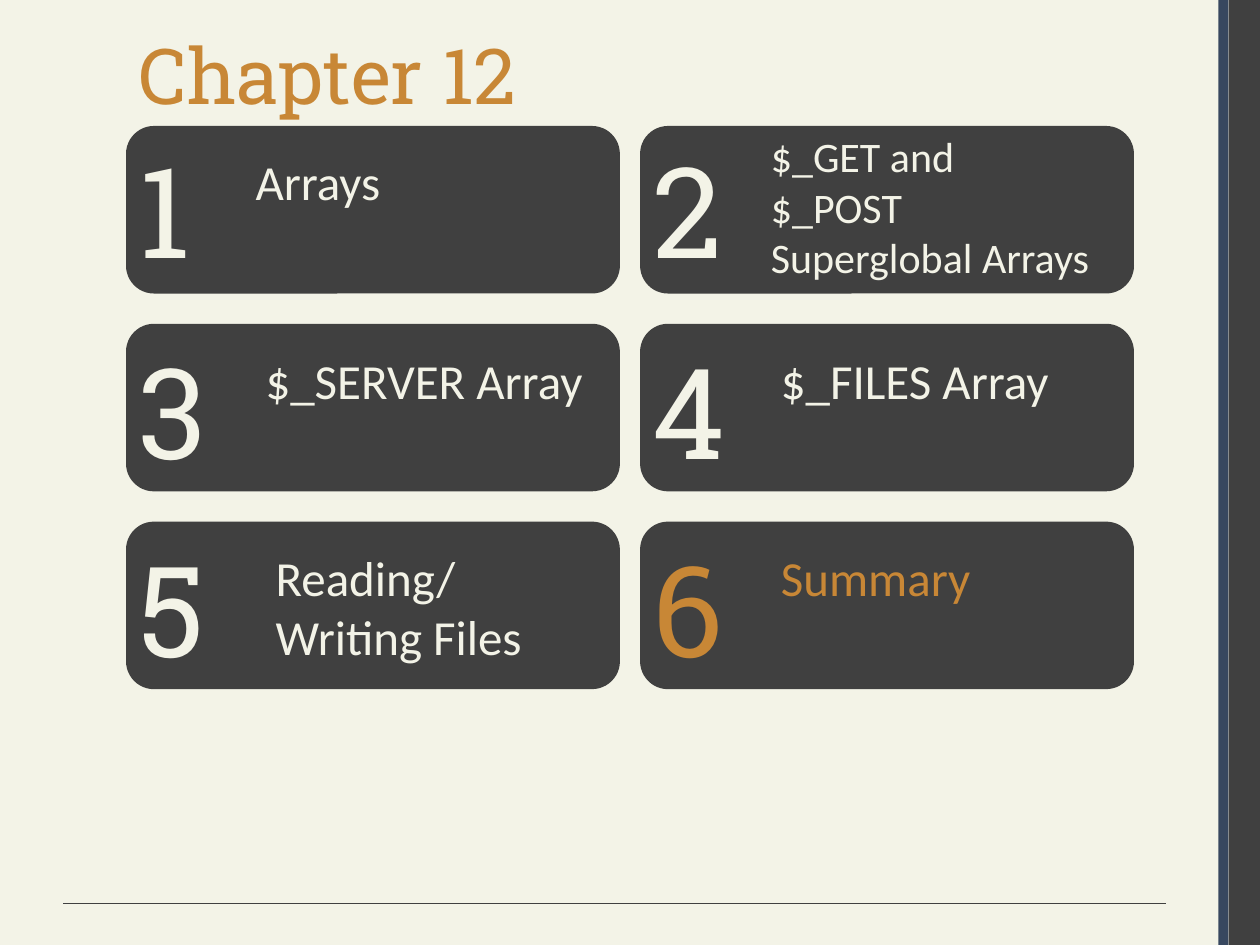
from pptx import Presentation
from pptx.dml.color import RGBColor
from pptx.enum.shapes import MSO_CONNECTOR, MSO_SHAPE
from pptx.enum.text import MSO_ANCHOR, PP_ALIGN
from pptx.oxml.ns import qn
from pptx.util import Inches, Pt
from lxml import etree

RECTANGLE = MSO_SHAPE.RECTANGLE
ROUNDED = MSO_SHAPE.ROUNDED_RECTANGLE
STRAIGHT = MSO_CONNECTOR.STRAIGHT
TOP = MSO_ANCHOR.TOP
LEFT = PP_ALIGN.LEFT

CREAM = RGBColor(0xF3, 0xF3, 0xE7)
CHARCOAL = RGBColor(0x40, 0x40, 0x40)
NAVY = RGBColor(0x37, 0x47, 0x5F)
OCHRE = RGBColor(0xC8, 0x87, 0x36)

HEADING_FONT = "Roboto Slab"
BODY_FONT = "Calibri"

CARD_LEFT, CARD_TOP = 1, 1
CARD_WIDTH, CARD_HEIGHT = 3.92, 1.33
COLUMN_STEP, ROW_STEP = 4.08, 1.57

TOPICS = [
    ("Arrays", 1.93, 1.15, 0.57, 28),
    ("$_GET and $_POST Superglobal Arrays", 6.02, 0.99, 1.31, 24),
    ("$_SERVER Array", 2.01, 2.73, 0.57, 28),
    ("$_FILES Array", 6.1, 2.73, 0.57, 28),
    ("Reading/ Writing Files", 2.09, 4.3, 1.04, 28),
    ("Summary", 6.1, 4.3, 0.57, 28),
]
NUMBER_TOPS = [1, 2.6, 4.17]


def write_text(frame, text, size, font=BODY_FONT, color=CREAM):
    frame.word_wrap = True
    frame.vertical_anchor = TOP
    paragraph = frame.paragraphs[0]
    paragraph.alignment = LEFT
    run = paragraph.add_run()
    run.text = text
    run.font.size = Pt(size)
    run.font.name = font
    run.font.color.rgb = color


class ChapterSlide:
    def __init__(self, deck):
        self.slide = deck.slides.add_slide(deck.slide_layouts[5])
        background = self.slide.background.fill
        background.solid()
        background.fore_color.rgb = CREAM

    def title(self, text, left, top, width, height):
        heading = self.slide.shapes.title
        heading.left, heading.top = Inches(left), Inches(top)
        heading.width, heading.height = Inches(width), Inches(height)
        write_text(heading.text_frame, text, 44, font=HEADING_FONT, color=OCHRE)

    def block(self, preset, left, top, width, height, color=CHARCOAL):
        block = self.slide.shapes.add_shape(
            preset, Inches(left), Inches(top), Inches(width), Inches(height))
        block.shadow.inherit = False
        block.fill.solid()
        block.fill.fore_color.rgb = color
        block.line.fill.background()

    def rule(self, start, end, top):
        rule = self.slide.shapes.add_connector(
            STRAIGHT, Inches(start), Inches(top), Inches(end), Inches(top))
        rule.line.color.rgb = CHARCOAL
        rule.line.width = Pt(0.75)
        etree.SubElement(rule._element.spPr, qn("a:effectLst"))

    def label(self, text, left, top, width, height, size, **style):
        label = self.slide.shapes.add_textbox(
            Inches(left), Inches(top), Inches(width), Inches(height))
        write_text(label.text_frame, text, size, **style)


def main():
    deck = Presentation()
    deck.slide_width, deck.slide_height = Inches(10), Inches(7.5)
    chapter = ChapterSlide(deck)

    chapter.block(RECTANGLE, 9.75, 0, 0.25, 7.5)
    chapter.block(RECTANGLE, 9.67, 0, 0.08, 7.5, color=NAVY)
    chapter.rule(9.25, 0.5, 7.17)
    chapter.title("Chapter 12", 1, 0.17, 8.67, 1.17)

    for index, (topic, topic_left, topic_top, topic_height, size) in enumerate(TOPICS):
        row, column = divmod(index, 2)
        left = CARD_LEFT + column * COLUMN_STEP
        color = OCHRE if topic == "Summary" else CREAM
        chapter.block(ROUNDED, left, CARD_TOP + row * ROW_STEP, CARD_WIDTH, CARD_HEIGHT)
        chapter.label(str(index + 1), left, NUMBER_TOPS[row], 0.75, 1.31, 72,
                      font=HEADING_FONT, color=color)
        chapter.label(topic, topic_left, topic_top, 2.76, topic_height, size, color=color)

    deck.save("out.pptx")


if __name__ == "__main__":
    main()
